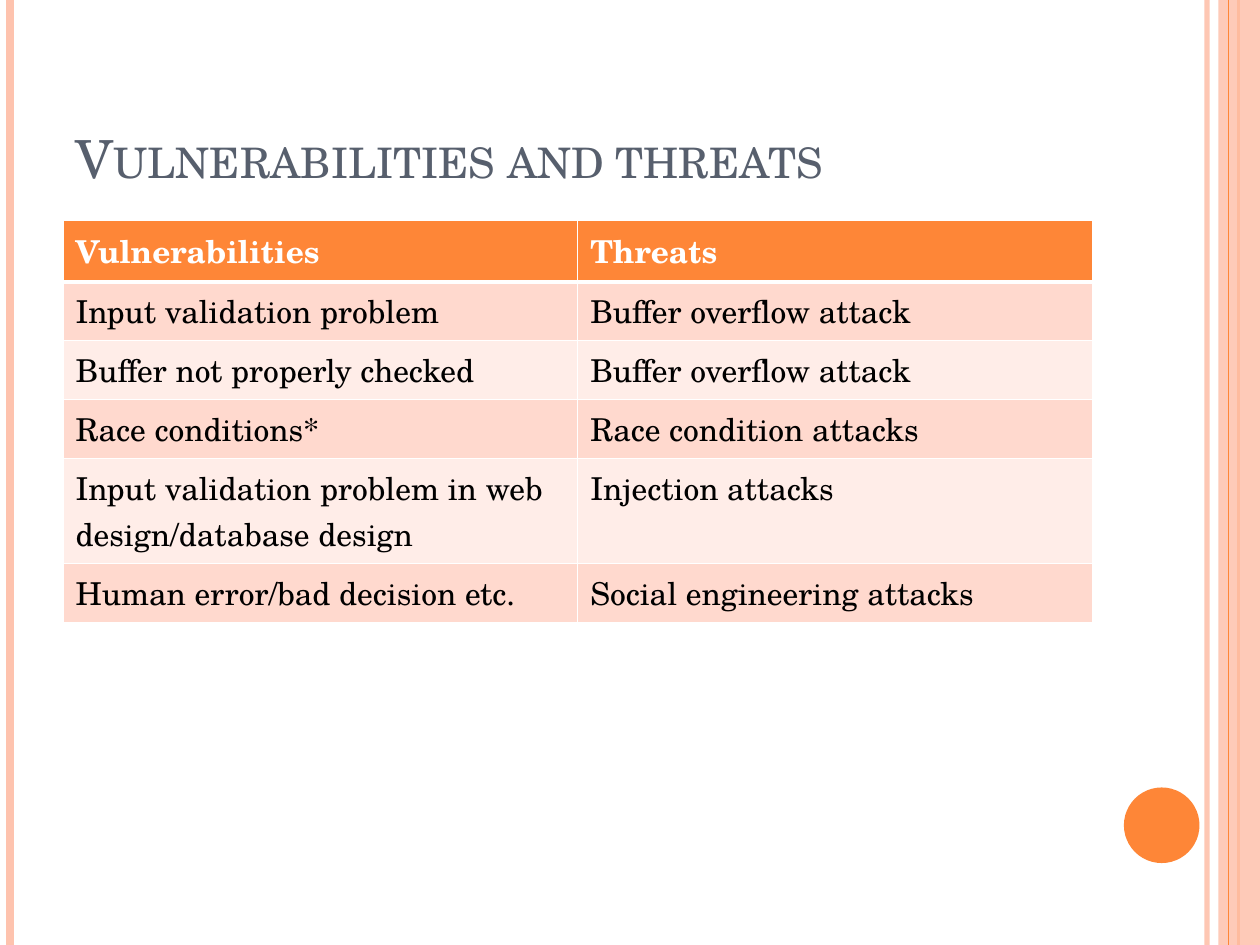
from lxml import etree
from pptx import Presentation
from pptx.dml.color import RGBColor
from pptx.enum.shapes import MSO_CONNECTOR, MSO_SHAPE
from pptx.enum.text import MSO_ANCHOR, MSO_AUTO_SIZE, PP_ALIGN
from pptx.oxml.ns import qn
from pptx.util import Inches, Pt

STRAIGHT = MSO_CONNECTOR.STRAIGHT
RECTANGLE, OVAL = MSO_SHAPE.RECTANGLE, MSO_SHAPE.OVAL
BOTTOM, LEFT = MSO_ANCHOR.BOTTOM, PP_ALIGN.LEFT
NO_AUTOFIT = MSO_AUTO_SIZE.NONE

FONT = "TeX Gyre Schola"
COLORS = {
    "orange": "FE8637", "peach": "FEC3AE", "slate": "575F6D",
    "white": "FFFFFF", "black": "000000",
    "band_dark": "FFD9CE", "band_light": "FFEDE8",
}
ROWS = [
    ("Vulnerabilities", "Threats"),
    ("Input validation problem", "Buffer overflow attack"),
    ("Buffer not properly checked", "Buffer overflow attack"),
    ("Race conditions*", "Race condition attacks"),
    ("Input validation problem in web design/database design", "Injection attacks"),
    ("Human error/bad decision etc.", "Social engineering attacks"),
]


def rgb(name):
    return RGBColor.from_string(COLORS[name])


def set_font(font, color, **formats):
    font.color.rgb = rgb(color)
    for attribute, value in {"name": FONT, **formats}.items():
        setattr(font, attribute, value)


def set_opacity(element, percent):
    color = next(element.iter(qn("a:srgbClr")))
    etree.SubElement(color, qn("a:alpha"), val=str(percent * 1000))


def add_stripe(slide, x, top, height, color, width, opacity=100):
    stripe = slide.shapes.add_connector(
        STRAIGHT, Inches(x), Inches(top), Inches(x), Inches(top + height))
    stripe.line.color.rgb = rgb(color)
    stripe.line.width = Pt(width)
    properties = stripe._element.spPr
    if opacity < 100:
        set_opacity(properties, opacity)
    etree.SubElement(properties, qn("a:effectLst"))


def add_plain_shape(slide, kind, left, top, width, height, color):
    shape = slide.shapes.add_shape(
        kind, Inches(left), Inches(top), Inches(width), Inches(height))
    shape.shadow.inherit = False
    shape.fill.solid()
    shape.fill.fore_color.rgb = rgb(color)
    shape.line.fill.background()
    return shape


def add_frame(slide, left, top, width, height):
    """Stripes along both edges and the disc near the lower right corner."""
    right = left + width
    add_stripe(slide, right - 0.42, top, height, "peach", 3, opacity=93)
    add_stripe(slide, left + 0.08, top, height, "peach", 4.5)
    add_stripe(slide, right - 0.17, top, height, "orange", 1.5)
    band = add_plain_shape(slide, RECTANGLE, right - 0.33, top, 0.33, height, "peach")
    set_opacity(band._element.spPr, 87)
    add_stripe(slide, right - 0.25, top, height, "orange", 0.75)
    add_plain_shape(slide, OVAL, right - 1.08, top + height - 1.25, 0.6, 0.6, "orange")


def place_title(slide, left, top, width, height):
    title = slide.shapes.title
    title.left, title.top = Inches(left), Inches(top)
    title.width, title.height = Inches(width), Inches(height)
    frame = title.text_frame
    frame.text = "Vulnerabilities and threats"
    frame.vertical_anchor = BOTTOM
    frame.word_wrap = True
    frame.auto_size = NO_AUTOFIT
    paragraph = frame.paragraphs[0]
    paragraph.alignment = LEFT
    run = paragraph.runs[0]
    set_font(run.font, "slate", size=Pt(30))
    run.font._element.set("cap", "small")


def set_borders(cell, top, bottom):
    properties = cell._tc.get_or_add_tcPr()
    for side, width in {"L": 1, "R": 1, "T": top, "B": bottom}.items():
        border = etree.SubElement(properties, qn(f"a:ln{side}"), w=str(Pt(width)))
        fill = etree.SubElement(border, qn("a:solidFill"))
        etree.SubElement(fill, qn("a:srgbClr"), val=COLORS["white"])


def add_threat_table(slide, left, top, width, row_height):
    table = slide.shapes.add_table(
        len(ROWS), len(ROWS[0]), Inches(left), Inches(top),
        Inches(width), Inches(row_height * len(ROWS))).table
    for r, texts in enumerate(ROWS):
        header = r == 0
        band = "orange" if header else "band_dark" if r % 2 else "band_light"
        for c, text in enumerate(texts):
            cell = table.cell(r, c)
            # The heavy rule lies between the header and the first row
            set_borders(cell, top=3 if r == 1 else 1, bottom=3 if header else 1)
            cell.fill.solid()
            cell.fill.fore_color.rgb = rgb(band)
            cell.text = text
            set_font(cell.text_frame.paragraphs[0].runs[0].font,
                     "white" if header else "black", size=Pt(18), bold=header)


def main():
    presentation = Presentation()
    presentation.slide_width, presentation.slide_height = Inches(10), Inches(7.5)
    slide = presentation.slides.add_slide(presentation.slide_layouts[5])
    add_frame(slide, 0, 0, 10, 7.5)
    place_title(slide, 0.5, 0.3, 8.17, 1.25)
    add_threat_table(slide, 0.5, 1.75, 8.17, 0.41)
    presentation.save("out.pptx")


if __name__ == "__main__":
    main()
